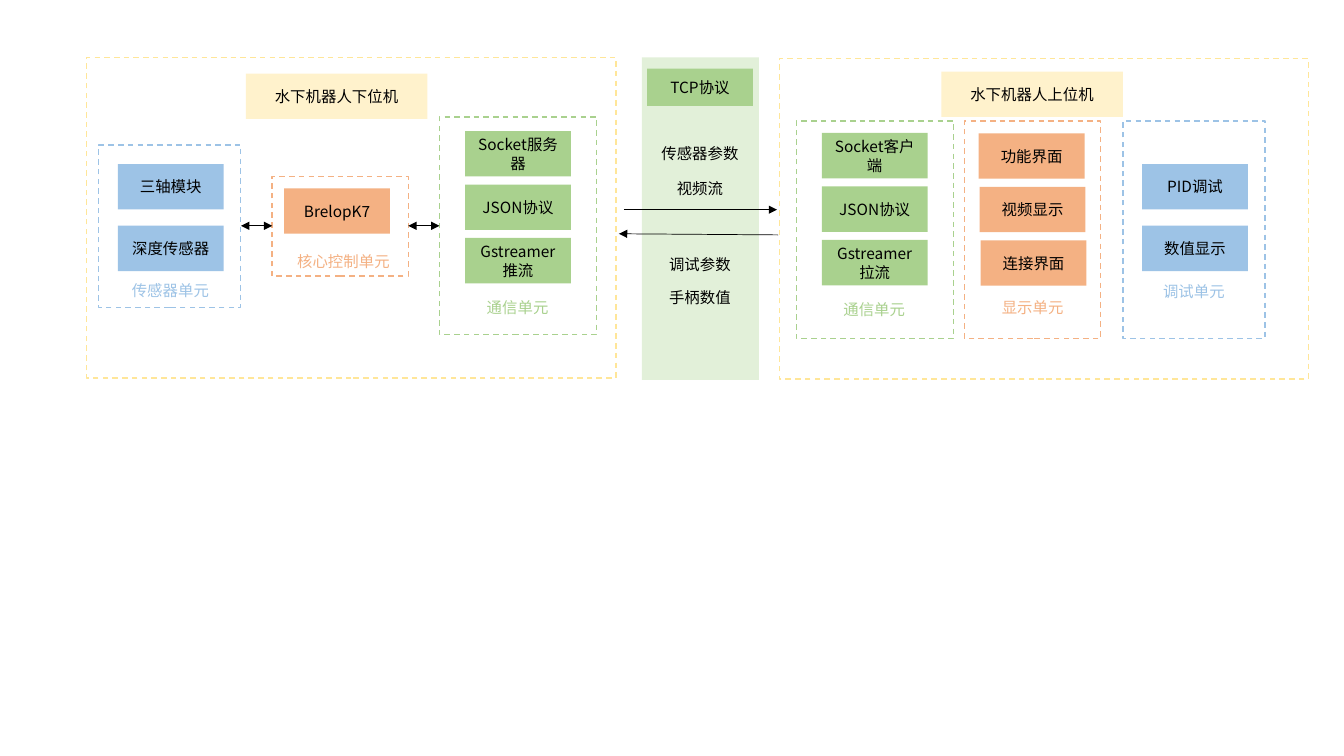
from dataclasses import dataclass

from lxml import etree
from pptx import Presentation
from pptx import util as u
from pptx.dml import color as c
from pptx.enum import dml, shapes, text
from pptx.oxml import ns


@dataclass(frozen=True)
class Theme:
    font: str = "Noto Sans CJK SC"
    size: float = 11
    black: str = "000000"
    blue: str = "9DC3E6"
    orange: str = "F4B183"
    green: str = "A9D18E"
    pale_green: str = "E2F0D9"
    yellow: str = "FFE699"
    pale_yellow: str = "FFF2CC"
    frame_width: float = 1
    arrow_width: float = 0.5


THEME = Theme()
MODULE_SIZE = (75.6, 32.4)


def write(frame, words, color=THEME.black, align=text.PP_ALIGN.CENTER):
    para = frame.paragraphs[0]
    para.alignment = align
    span = para.add_run()
    span.text = words
    span.font.name = THEME.font
    span.font.size = u.Pt(THEME.size)
    span.font.color.rgb = c.RGBColor.from_string(color)
    east_asian = etree.SubElement(span.font._element, ns.qn("a:ea"))
    east_asian.set("typeface", THEME.font)


class Diagram:
    def __init__(self, page, theme):
        self.page = page
        self.theme = theme

    def rectangle(self, area):
        box = self.page.shapes.add_shape(shapes.MSO_SHAPE.RECTANGLE, *map(u.Pt, area))
        box.shadow.inherit = False
        return box

    def frame(self, area, color):
        box = self.rectangle(area)
        box.fill.background()
        box.line.color.rgb = c.RGBColor.from_string(color)
        box.line.width = u.Pt(self.theme.frame_width)
        box.line.dash_style = dml.MSO_LINE.DASH

    def block(self, area, color, words=""):
        box = self.rectangle(area)
        box.fill.solid()
        box.fill.fore_color.rgb = c.RGBColor.from_string(color)
        box.line.fill.background()
        if words:
            box.text_frame.word_wrap = True
            box.text_frame.vertical_anchor = text.MSO_ANCHOR.MIDDLE
            write(box.text_frame, words)

    def label(self, left, top, words, color):
        width = 14.4 + self.theme.size * len(words)
        box = self.page.shapes.add_textbox(*map(u.Pt, (left, top, width, 20.9)))
        box.text_frame.word_wrap = False
        box.text_frame.auto_size = text.MSO_AUTO_SIZE.SHAPE_TO_FIT_TEXT
        write(box.text_frame, words, color=color, align=text.PP_ALIGN.LEFT)

    def arrow(self, start, end, both=False):
        line = self.page.shapes.add_connector(
            shapes.MSO_CONNECTOR.STRAIGHT, *map(u.Pt, start + end))
        line.line.color.rgb = c.RGBColor.from_string(self.theme.black)
        line.line.width = u.Pt(self.theme.arrow_width)
        stroke = line.line._get_or_add_ln()
        for tag in ("a:headEnd", "a:tailEnd") if both else ("a:tailEnd",):
            etree.SubElement(stroke, ns.qn(tag)).set("type", "triangle")
        etree.SubElement(line._element.spPr, ns.qn("a:effectLst"))

    def unit(self, area, color, name, name_at, modules, first, step):
        self.frame(area, color)
        for index, words in enumerate(modules):
            left, top = (start + index * gap for start, gap in zip(first, step))
            self.block((left, top, *MODULE_SIZE), color, words)
        self.label(*name_at, name, color)


deck = Presentation()
deck.slide_width, deck.slide_height = u.Pt(960), u.Pt(540)
diagram = Diagram(deck.slides.add_slide(deck.slide_layouts[6]), THEME)

machines = [
    ("水下机器人下位机", (61.9, 41), (175.7, 52.6)),
    ("水下机器人上位机", (556.6, 41.8), (672.5, 51.1)),
]
for name, corner, header in machines:
    diagram.frame((*corner, 378, 229), THEME.yellow)
    diagram.block((*header, 129.6, 32.4), THEME.pale_yellow, name)

units = [
    ((70.5, 103.7, 101.5, 116), THEME.blue, "传感器单元", (87.1, 197.3),
     ["三轴模块", "深度传感器"], (84.2, 117.2), (0, 44)),
    ((194.4, 126, 97.2, 71.3), THEME.orange, "核心控制单元", (205.2, 176.4),
     ["BrelopK7"], (203, 134.6), (0, 0)),
    ((313.9, 83.5, 112.3, 155.5), THEME.green, "通信单元", (340.6, 209.5),
     ["Socket服务器", "JSON协议", "Gstreamer推流"], (332.2, 93.6), (0, 38.2)),
    ((568.8, 86.4, 112.3, 155.5), THEME.green, "通信单元", (595.4, 211),
     ["Socket客户端", "JSON协议", "Gstreamer拉流"], (587, 95), (0, 38.2)),
    ((689, 86.4, 97.2, 155.5), THEME.orange, "显示单元", (708.5, 209.5),
     ["功能界面", "视频显示", "连接界面"], (699.1, 95.2), (0.7, 38.2)),
    ((802.1, 86.4, 101.5, 155.5), THEME.blue, "调试单元", (823.7, 198),
     ["PID调试", "数值显示"], (815.8, 117.2), (0, 44)),
]
for unit in units:
    diagram.unit(*unit)

diagram.block((458.6, 41, 83.5, 230.4), THEME.pale_green)
diagram.block((462.2, 49, 75.6, 26.6), THEME.green, "TCP协议")
messages = {"传感器参数": 102.2, "视频流": 127.2, "调试参数": 181.4, "手柄数值": 205}
for words, top in messages.items():
    diagram.block((462.2, top, 75.6, 15.1), THEME.pale_green, words)

for left in (172.1, 291.6):
    diagram.arrow((left, 161.3), (left + 22.3, 161.3), both=True)
diagram.arrow((445.7, 149.8), (555.1, 149.8))
diagram.arrow((555.8, 167.8), (442.1, 167))

deck.save("out.pptx")
